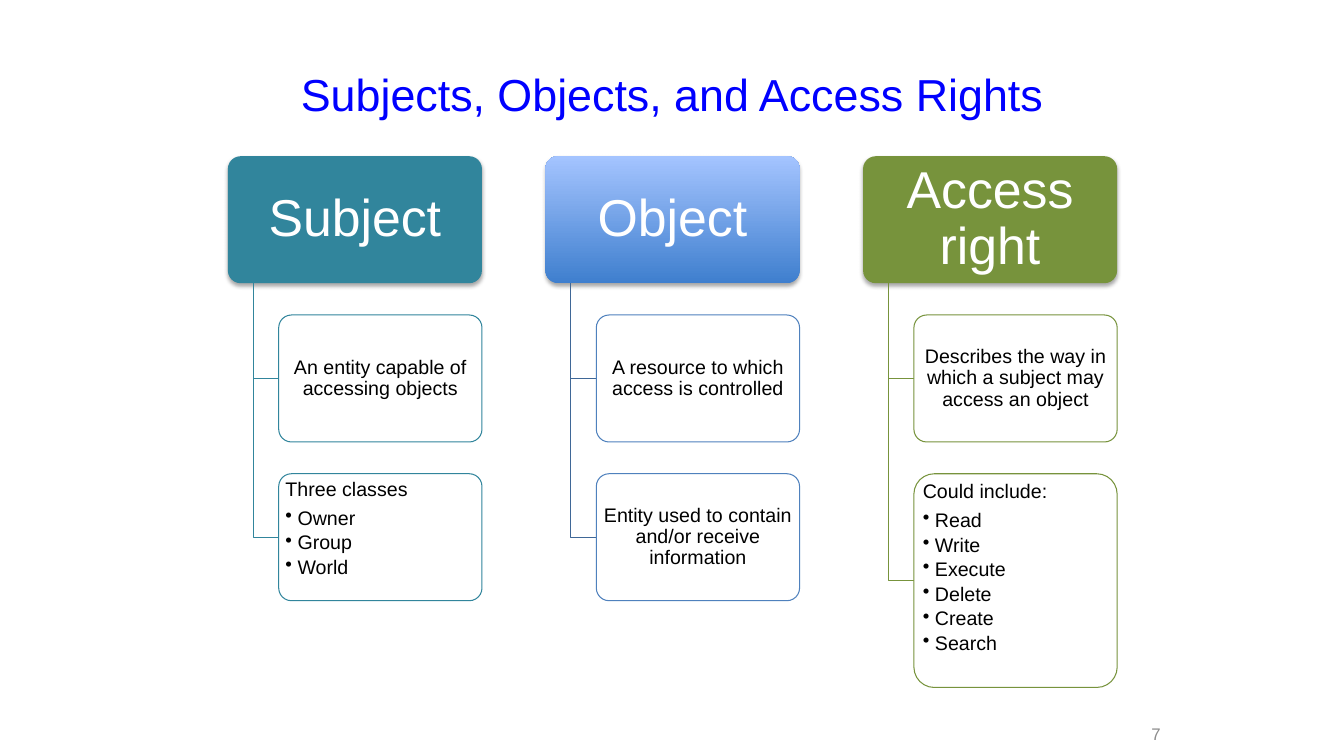
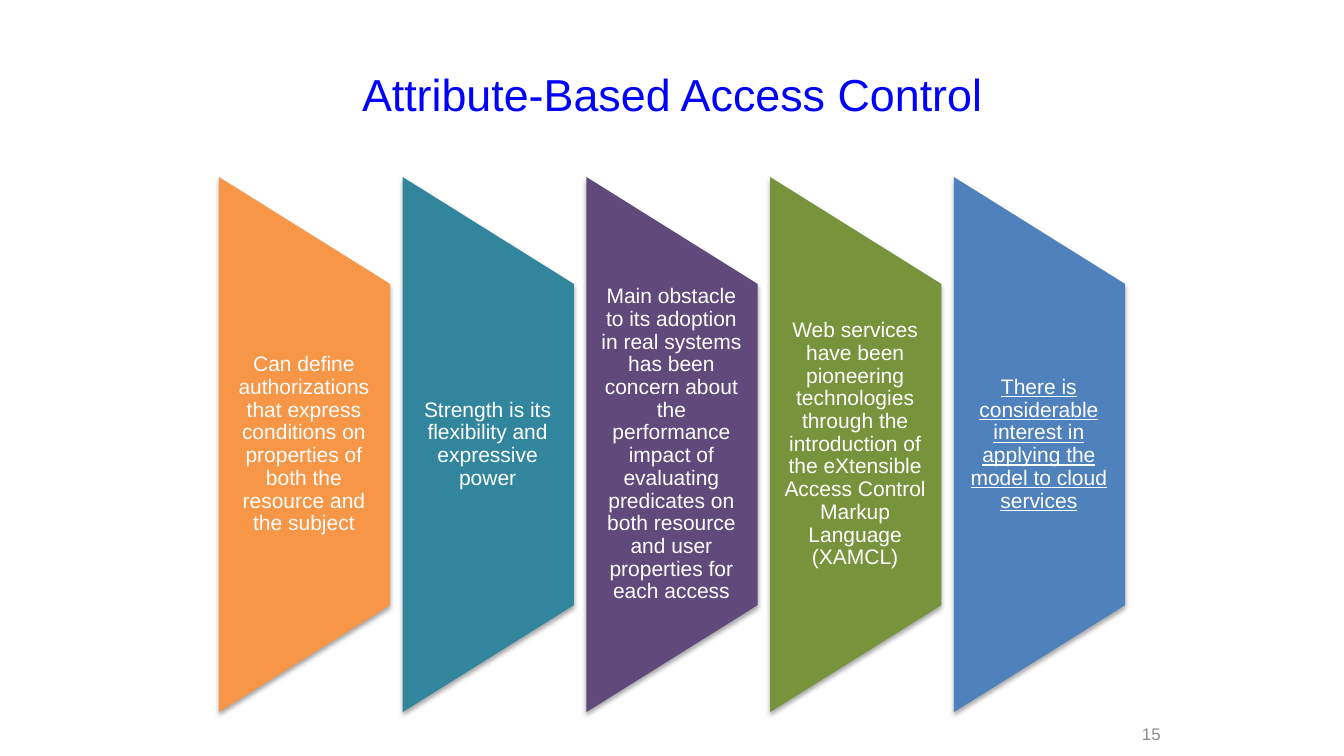
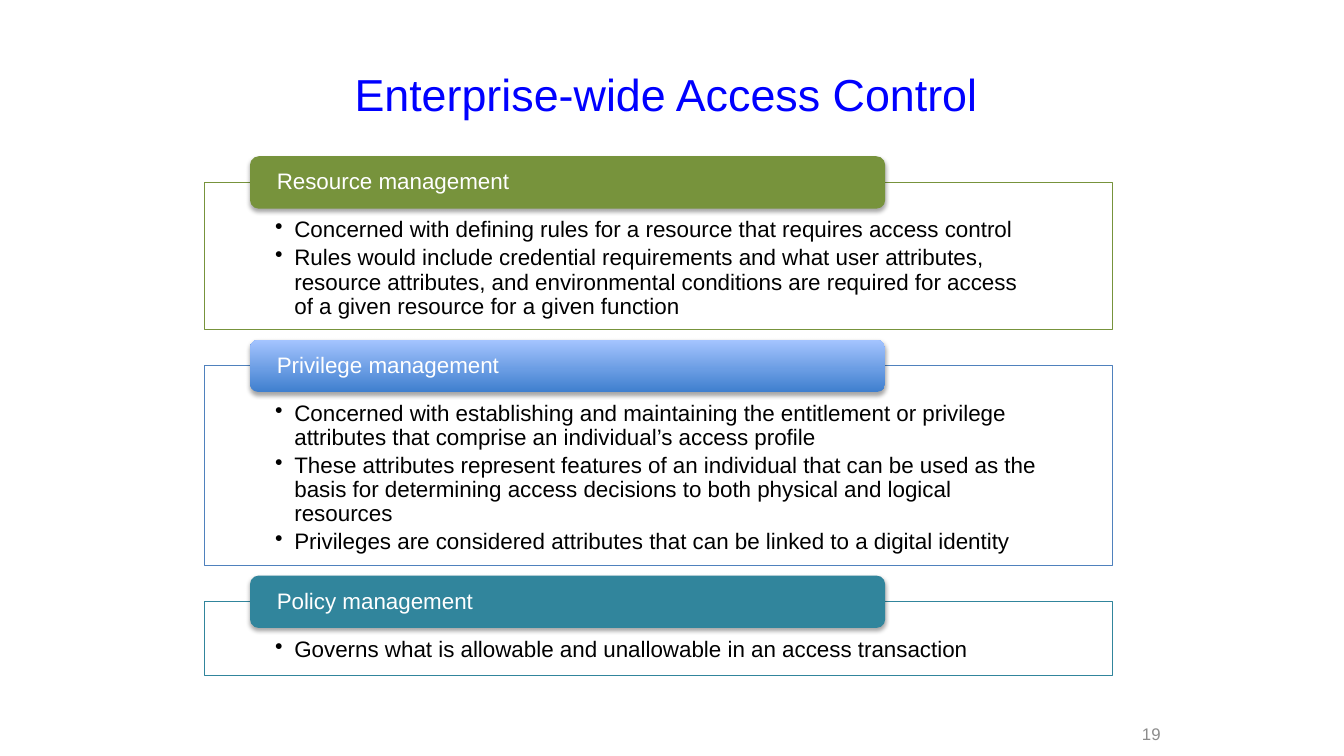
from lxml.etree import SubElement
from pptx import Presentation
from pptx.dml.color import RGBColor
from pptx.enum.shapes import MSO_SHAPE
from pptx.enum.text import MSO_ANCHOR, PP_ALIGN
from pptx.oxml.ns import qn
from pptx.util import Emu, Pt

PX = 9144  # 100 px to the inch
FONT = "Arial"
WHITE, BLACK, TITLE_BLUE, GREY = "FFFFFF", "000000", "0000FF", "8C8C8C"
TEAL, GREEN, ORANGE, PURPLE, BLUE = "31859C", "77933C", "F79646", "604A7B", "4F81BD"
DARK_BLUE = "3F6797"
BLUE_GRADIENT = ("3F7FCE", "A4C4FF")

# heading, heading fill, outline, connector, [(box height, lines)]
RIGHTS = [
    ("Subject", TEAL, TEAL, TEAL, [
        (126, ["An entity capable of accessing objects"]),
        (126, ["Three classes", "Owner", "Group", "World"]),
    ]),
    ("Object", BLUE_GRADIENT, BLUE, DARK_BLUE, [
        (126, ["A resource to which access is controlled"]),
        (126, ["Entity used to contain and/or receive information"]),
    ]),
    ("Access right", GREEN, GREEN, GREEN, [
        (126, ["Describes the way in which a subject may access an object"]),
        (212, ["Could include:", "Read", "Write", "Execute", "Delete", "Create", "Search"]),
    ]),
]

# text, fill, underlined
ATTRIBUTE_POINTS = [
    ("Can define authorizations that express conditions on properties of both "
     "the resource and the subject", ORANGE, False),
    ("Strength is its flexibility and expressive power", TEAL, False),
    ("Main obstacle to its adoption in real systems has been concern about the "
     "performance impact of evaluating predicates on both resource and user "
     "properties for each access", PURPLE, False),
    ("Web services have been pioneering technologies through the introduction of "
     "the eXtensible Access Control Markup Language (XAMCL)", GREEN, False),
    ("There is considerable interest in applying the model to cloud services", BLUE, True),
]

# heading, heading fill, outline, frame height, bullets
MANAGEMENT = [
    ("Resource management", GREEN, GREEN, 146, [
        "Concerned with defining rules for a resource that requires access control",
        "Rules would include credential requirements and what user attributes, "
        "resource attributes, and environmental conditions are required for access "
        "of a given resource for a given function",
    ]),
    ("Privilege management", BLUE_GRADIENT, BLUE, 198, [
        "Concerned with establishing and maintaining the entitlement or privilege "
        "attributes that comprise an individual’s access profile",
        "These attributes represent features of an individual that can be used as the "
        "basis for determining access decisions to both physical and logical resources",
        "Privileges are considered attributes that can be linked to a digital identity",
    ]),
    ("Policy management", TEAL, TEAL, 73, [
        "Governs what is allowable and unallowable in an access transaction",
    ]),
]


def px(*values):
    return [Emu(round(v * PX)) for v in values]


def rgb(color):
    return RGBColor.from_string(color)


def add_bullet(p, indent):
    pPr = p._p.get_or_add_pPr()
    pPr.set("marL", str(indent * PX))
    pPr.set("indent", str(-indent * PX))
    SubElement(pPr, qn("a:buChar")).set("char", "•")


def write(sp, lines, size, color, align=PP_ALIGN.LEFT, anchor=MSO_ANCHOR.MIDDLE,
          insets=(10, 5, 10, 5), indent=0, first_bullet=0, spacing=0.9, underline=False):
    """Fill a shape with paragraphs, bulleted from first_bullet on when indent is set."""
    tf = sp.text_frame
    tf.word_wrap = True
    tf.vertical_anchor = anchor
    tf.margin_left, tf.margin_top, tf.margin_right, tf.margin_bottom = px(*insets)
    tf.text = "\n".join(lines)
    for i, p in enumerate(tf.paragraphs):
        bulleted = indent and i >= first_bullet
        if bulleted:
            add_bullet(p, indent)
        p.alignment = align
        p.line_spacing = spacing
        if len(lines) > 1:
            p.space_after = Pt(round(size * (0.17 if bulleted else 0.4), 1))
        for r in p.runs:
            r.font.name, r.font.size = FONT, Pt(size)
            r.font.color.rgb = rgb(color)
            if underline:
                r.font.underline = True


def add_text(s, box, lines, size, color, **style):
    write(s.shapes.add_textbox(*px(*box)), lines, size, color, **style)


def set_line(sp, color):
    sp.line.color.rgb = rgb(color)
    sp.line.width = Pt(0.75)


def add_outlined(s, kind, box, color):
    sp = s.shapes.add_shape(kind, *px(*box))
    sp.shadow.inherit = False
    sp.fill.solid()
    sp.fill.fore_color.rgb = rgb(WHITE)
    set_line(sp, color)
    return sp


def add_filled(s, kind, box, fill):
    """Borderless shape with a soft shadow below; a pair of colours gives a gradient."""
    sp = s.shapes.add_shape(kind, *px(*box))
    sp.line.fill.background()
    if isinstance(fill, tuple):
        sp.fill.gradient()
        sp.fill.gradient_angle = 90
        for stop, color in zip(sp.fill.gradient_stops, fill):
            stop.color.rgb = rgb(color)
    else:
        sp.fill.solid()
        sp.fill.fore_color.rgb = rgb(fill)
    sp.shadow.inherit = False
    effects = sp._element.spPr.find(qn("a:effectLst"))
    shadow = SubElement(effects, qn("a:outerShdw"), blurRad="40000", dist="23000",
                        dir="5400000", rotWithShape="0")
    black = SubElement(shadow, qn("a:srgbClr"), val=BLACK)
    SubElement(black, qn("a:alpha"), val="35000")
    return sp


def add_branch(s, x, top, bottom, right, color):
    fb = s.shapes.build_freeform(*px(x, top))
    fb.add_line_segments([px(x, bottom), px(right, bottom)], close=False)
    sp = fb.convert_to_shape()
    sp.shadow.inherit = False
    sp.fill.background()
    set_line(sp, color)


def add_slide(prs, title, number):
    s = prs.slides.add_slide(prs.slide_layouts[6])
    add_text(s, (67, 30, 1200, 125), [title], 32, TITLE_BLUE,
             align=PP_ALIGN.CENTER, spacing=1.0)
    add_text(s, (1093, 720, 68, 15), [str(number)], 12, GREY,
             align=PP_ALIGN.RIGHT, spacing=1.0)
    return s


def build_rights(prs):
    s = add_slide(prs, "Subjects, Objects, and Access Rights", 7)
    left, top, width, height = 226, 155, 252, 126
    row_gap, col_gap = height / 4, width / 4
    trunk, inset = width / 10, width / 5
    for col, (heading, fill, outline, branch, boxes) in enumerate(RIGHTS):
        x = left + col * (width + col_gap)
        sp = add_filled(s, MSO_SHAPE.ROUNDED_RECTANGLE, (x, top, width, height), fill)
        sp.adjustments[0] = 0.1
        write(sp, [heading], 37, WHITE, align=PP_ALIGN.CENTER, insets=(8, 5, 8, 5))
        y = top + height + row_gap
        for h, lines in boxes:
            add_branch(s, x + trunk, top + height, y + h / 2, x + inset, branch)
            sp = add_outlined(s, MSO_SHAPE.ROUNDED_RECTANGLE,
                              (x + inset, y, width - inset, h), outline)
            sp.adjustments[0] = 0.1
            is_list = len(lines) > 1
            write(sp, lines, 14, BLACK, insets=(3, 2, 3, 2), indent=12, first_bullet=1,
                  align=PP_ALIGN.LEFT if is_list else PP_ALIGN.CENTER,
                  anchor=MSO_ANCHOR.TOP if is_list else MSO_ANCHOR.MIDDLE)
            y += h + row_gap


def build_attributes(prs):
    s = add_slide(prs, "Attribute-Based Access Control", 15)
    left, span, width, height, middle = 217, 899, 170, 531, 441
    pitch = (span - width) / (len(ATTRIBUTE_POINTS) - 1)
    text_height = height * 3 / 5
    for i, (text, fill, underline) in enumerate(ATTRIBUTE_POINTS):
        x = left + i * pitch
        box = (x + (width - height) / 2, middle - width / 2, height, width)
        sp = add_filled(s, MSO_SHAPE.FLOWCHART_MANUAL_OPERATION, box, fill)
        sp.rotation = 270
        add_text(s, (x, middle - text_height / 2, width, text_height), [text], 15, WHITE,
                 align=PP_ALIGN.CENTER, insets=(10, 0, 11, 0), underline=underline)


def build_management(prs):
    s = add_slide(prs, "Enterprise-wide Access Control ", 19)
    left, y, width, gap = 203, 181, 900, 36
    tab_width, tab_height = width * 7 / 10, 52
    for heading, fill, outline, height, bullets in MANAGEMENT:
        frame = add_outlined(s, MSO_SHAPE.RECTANGLE, (left, y, width, height), outline)
        write(frame, bullets, 16, BLACK, anchor=MSO_ANCHOR.TOP,
              insets=(70, 36, 70, 12), indent=19)
        tab = add_filled(s, MSO_SHAPE.ROUNDED_RECTANGLE,
                         (left + width / 20, y - tab_height / 2, tab_width, tab_height), fill)
        write(tab, [heading], 16, WHITE, insets=(24, 0, 24, 0))
        y += height + gap


def main():
    prs = Presentation()
    prs.slide_width, prs.slide_height = px(1333, 750)
    build_rights(prs)
    build_attributes(prs)
    build_management(prs)
    prs.save("out.pptx")


if __name__ == "__main__":
    main()
